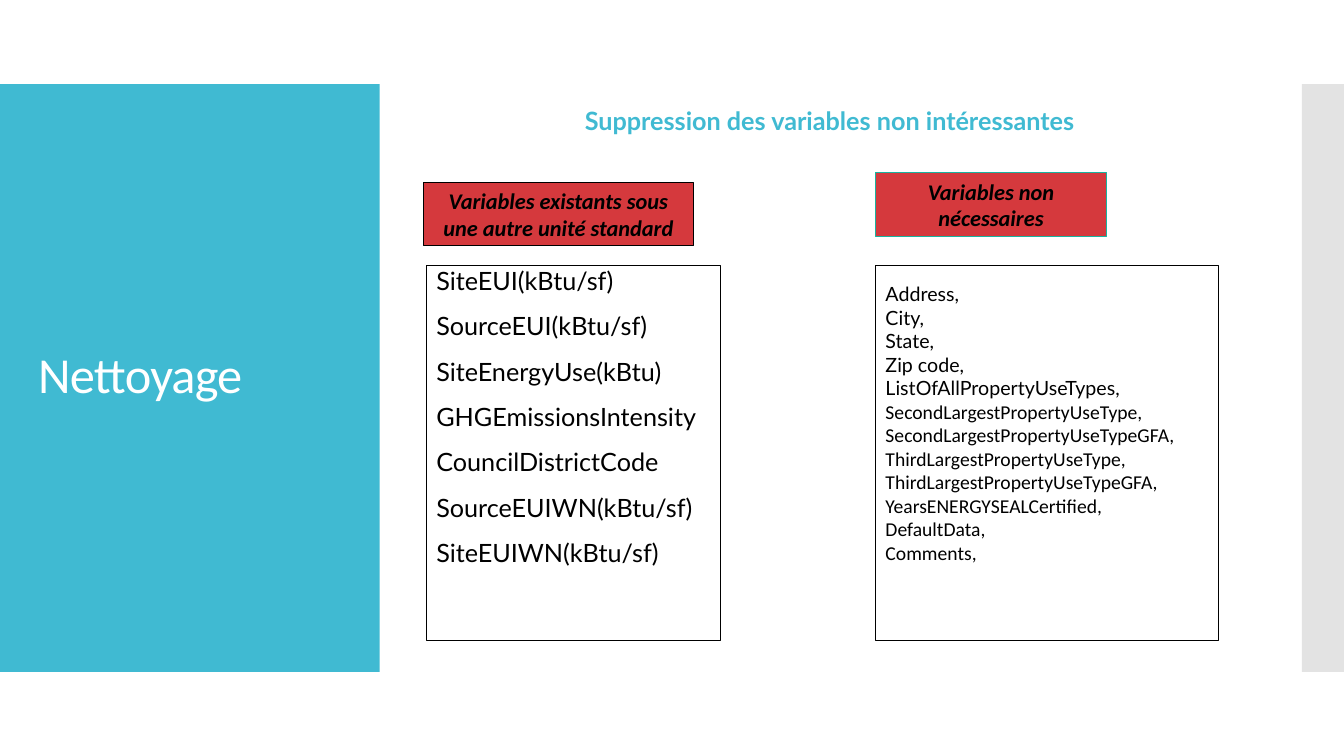
"""Build the data cleaning slide."""
from pptx import Presentation
from pptx.dml.color import RGBColor as Rgb
from pptx.enum.shapes import MSO_SHAPE as Shape
from pptx.enum.text import MSO_ANCHOR as Anchor, PP_ALIGN as Align
from pptx.oxml.ns import qn
from pptx.util import Pt
from lxml.etree import SubElement as Sub

HUES = {"teal": "40BAD2", "gray": "C8C8C8", "red": "D5393D",
        "green": "1AB39F", "black": "000000", "white": "FFFFFF"}
UNITS = ["SiteEUI(kBtu/sf)", "SourceEUI(kBtu/sf)", "SiteEnergyUse(kBtu)",
         "GHGEmissionsIntensity", "CouncilDistrictCode",
         "SourceEUIWN(kBtu/sf)", "SiteEUIWN(kBtu/sf)"]
PLACES = ["Address,", "City,", "State,", "Zip code,",
          "ListOfAllPropertyUseTypes,"]
USES = ["SecondLargestPropertyUseType,", "SecondLargestPropertyUseTypeGFA,",
        "ThirdLargestPropertyUseType,", "ThirdLargestPropertyUseTypeGFA,",
        "YearsENERGYSEALCertified,", "DefaultData,", "Comments,"]


class Deck:
    """Hold the style and the current slide."""

    def __init__(self):
        self.show = Presentation()
        self.show.slide_width, self.show.slide_height = Pt(960), Pt(540)
        self.slide = self.show.slides.add_slide(self.show.slide_layouts[6])

    def hue(self, name):
        return Rgb.from_string(HUES[name])

    def box(self, area, fill=None, line=None, width=0.75, alpha=None):
        box = self.slide.shapes.add_shape(Shape.RECTANGLE, *map(Pt, area))
        box.shadow.inherit = False
        if fill:
            box.fill.solid()
            box.fill.fore_color.rgb = self.hue(fill)
        else:
            box.fill.background()
        if line:
            box.line.color.rgb = self.hue(line)
            box.line.width = Pt(width)
        else:
            box.line.fill.background()
        if alpha:
            tint = box.fill._xPr.find(".//" + qn("a:srgbClr"))
            Sub(tint, qn("a:alpha"), val=str(alpha * 1000))
        return box

    def label(self, area):
        return self.slide.shapes.add_textbox(*map(Pt, area))

    def text(self, shape, lines, size, face="Calibri", hue="black",
             align=Align.LEFT, anchor=Anchor.MIDDLE, top=3.6, bold=False,
             slant=False):
        frame = shape.text_frame
        frame.word_wrap = True
        frame.vertical_anchor = anchor
        frame.margin_top = Pt(top)
        frame.text = "\n".join(lines)
        for para in frame.paragraphs:
            para.alignment = align
            font = para.font
            font.name, font.size = face, Pt(size)
            font.bold, font.italic = bold, slant
            font.color.rgb = self.hue(hue)
        return frame.paragraphs

    def tag(self, area, line, words):
        self.text(self.box(area, "red", line), [words], 16,
                  align=Align.CENTER, bold=True, slant=True)

    def panel(self, area, lines, size, top):
        return self.text(self.box(area, line="black", width=0.85), lines,
                         size, "Lato", anchor=Anchor.TOP, top=top)

    def save(self):
        self.show.save("out.pptx")


def main():
    deck = Deck()
    deck.box((0, 60, 271.2, 420), "teal")
    deck.box((930, 60, 30, 420), "gray", alpha=50)

    title = deck.text(deck.label((20.2, 88.6, 231.8, 362)), ["Nettoyage"],
                      36, hue="white")[0]
    title.line_spacing = 0.9
    title.runs[0]._r.get_or_add_rPr().set("spc", "-60")
    deck.text(deck.label((304.6, 71.5, 576, 30)),
              ["Suppression des variables non intéressantes"], 18, "Lato",
              "teal", Align.CENTER, Anchor.TOP, bold=True)

    deck.tag((302.4, 130.3, 193, 45.4), "black",
             "Variables existants sous une autre unité standard")
    deck.tag((625.4, 123.1, 165, 46), "green", "Variables non nécessaires")

    units = deck.panel((304.6, 189.4, 210, 268), UNITS, 18, 0)
    for para in units[1:]:
        para.line_spacing = 1.5
    names = deck.panel((625.4, 189.4, 245, 268), PLACES + USES, 14, 12)
    for para in names[len(PLACES):]:
        para.font.name = "Calibri"
    deck.save()


if __name__ == "__main__":
    main()
